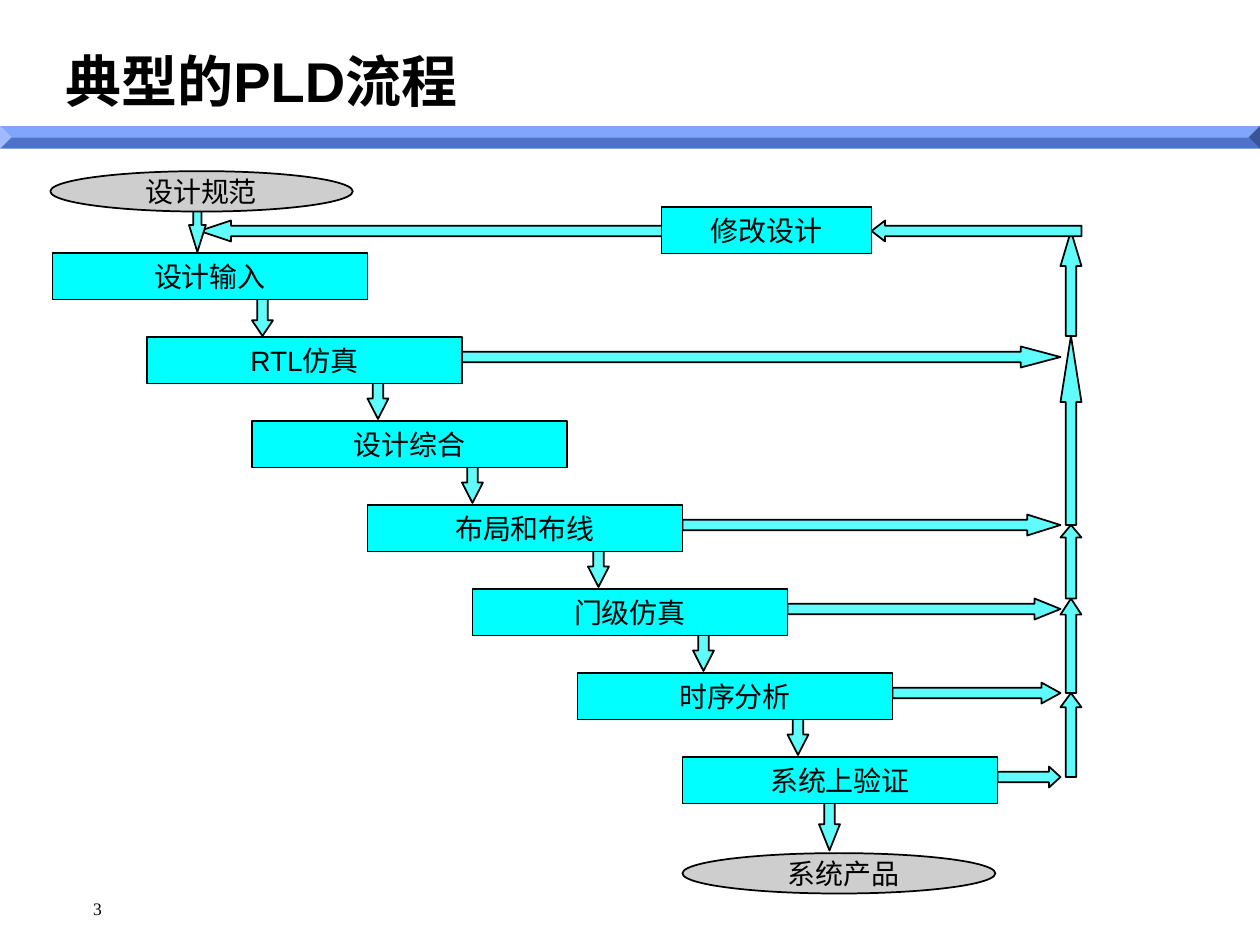
from pptx import Presentation
from pptx.dml.color import RGBColor
from pptx.enum.shapes import MSO_SHAPE
from pptx.enum.text import MSO_ANCHOR, MSO_AUTO_SIZE, PP_ALIGN
from pptx.util import Inches, Pt

BEVEL, RECT, OVAL = MSO_SHAPE.BEVEL, MSO_SHAPE.RECTANGLE, MSO_SHAPE.OVAL
LEFT, UP, DOWN = MSO_SHAPE.LEFT_ARROW, MSO_SHAPE.UP_ARROW, MSO_SHAPE.DOWN_ARROW
MIDDLE, CENTER, ALIGN_LEFT = MSO_ANCHOR.MIDDLE, PP_ALIGN.CENTER, PP_ALIGN.LEFT
GROW = MSO_AUTO_SIZE.SHAPE_TO_FIT_TEXT

prs = Presentation()
prs.slide_width, prs.slide_height = Inches(10), Inches(7.5)
U = prs.slide_width / 120  # grid of 120 columns by 90 rows
s = prs.slides.add_slide(prs.slide_layouts[5])


def add(kind, x, y, w, h, fill, line="000000", adj=()):
    """Add a filled preset shape; lengths are in grid units."""
    sp = s.shapes.add_shape(kind, *(round(v * U) for v in (x, y, w, h)))
    sp.shadow.inherit = False
    sp.fill.solid()
    sp.fill.fore_color.rgb = RGBColor.from_string(fill)
    if line:
        sp.line.color.rgb = RGBColor.from_string(line)
        sp.line.width = Pt(1)
    else:
        sp.line.fill.background()
    for i, value in enumerate(adj):
        sp.adjustments[i] = value
    return sp


def write(sp, text, align=CENTER, frame=None, **font):
    tf = sp.text_frame
    for name, value in {"word_wrap": True, "vertical_anchor": MIDDLE, **(frame or {})}.items():
        setattr(tf, name, value)
    p = tf.paragraphs[0]
    p.alignment = align
    r = p.add_run()
    r.text = text
    for name, value in {"name": "Arial", "size": Pt(16), "bold": False, **font}.items():
        setattr(r.font, name, value)
    r.font.color.rgb = RGBColor.from_string("000000")


add(BEVEL, 0, 12, 120, 2.16, "618FFD", None, [0.5])

title = s.shapes.title
title.left, title.top, title.width, title.height = (round(v * U) for v in (5, 3, 110, 9.24))
write(title, "典型的PLD流程", ALIGN_LEFT, {"auto_size": MSO_AUTO_SIZE.NONE}, size=Pt(32), bold=True)

# Steps go down the slide every 8 rows: label, left column, feedback arrow head
steps = [
    ("设计输入", 5, None),
    ("RTL仿真", 14, 1.89),
    ("设计综合", 24, None),
    ("布局和布线", 35, 1.59),
    ("门级仿真", 45, 1.24),
    ("时序分析", 55, 0.91),
    ("系统上验证", 65, 0.55),
]
STEP_TOP, PITCH, STEP_W, STEP_H, ARROW = 24.1, 8, 30, 4.44, 2
BUS = 101  # column of the feedback path
ARROW_FILL, STEP_FILL, END_FILL = "60FCFC", "00FFFF", "CECECE"

# Feedback from the checked steps to the vertical path
for i, (label, x, head) in enumerate(steps):
    if head:
        right = x + STEP_W
        sp = add(LEFT, right, 25 + PITCH * i, BUS - right, ARROW, ARROW_FILL, adj=[0.5, head])
        sp.rotation = 180

# Vertical path: top row, height, head
for y, h, head in [(66, 8, 0.68), (57, 9, 0.77), (50, 7, 0.6), (32, 18, 3.15), (22, 10, 1.67)]:
    add(UP, BUS, y, ARROW, h, ARROW_FILL, adj=[0.5, head])

# Return path through the redesign box: left column, width, head
for x, w, head in [(83, 20, 0.65), (19, 46, 1.5)]:
    add(LEFT, x, 21, w, ARROW, ARROW_FILL, adj=[0.5, head])

# Arrows from each stage to the next: column, top row, width, height, head
downs = [(18, 19, 1.6, 5, 1.6), (24, 26, ARROW, 6, 0.74), (78, 76, ARROW, 5, 1.25)]
downs += [(x, 36 + PITCH * i, ARROW, 3.9, 0.97) for i, x in enumerate((35, 44, 56, 66, 75))]
for x, y, w, h, head in downs:
    add(DOWN, x, y, w, h, ARROW_FILL, adj=[0.5, head])

boxes = [(label, x, STEP_TOP + PITCH * i, STEP_W) for i, (label, x, _) in enumerate(steps)]
for label, x, y, w in boxes + [("修改设计", 63, 19.7, 20)]:
    write(add(RECT, x, y, w, STEP_H, STEP_FILL), label, frame={"auto_size": GROW})

# Start and end: label, oval column, row and width, label column and row
for label, x, y, w, text_x, text_y in [
    ("设计规范", 4.8, 16.3, 28.8, 12.6, 16),
    ("系统产品", 65, 81.25, 29.8, 73.8, 81),
]:
    add(OVAL, x, y, w, 3.85, END_FILL)
    tb = s.shapes.add_textbox(*(round(v * U) for v in (text_x, text_y, 13.1, STEP_H)))
    write(tb, label, frame={"word_wrap": False, "auto_size": GROW})

number = s.shapes.add_textbox(*(round(v * U) for v in (4.8, 83.5, 25, 6)))
write(number, "3", ALIGN_LEFT, {"margin_left": Inches(0.34)}, name="Times New Roman", size=Pt(10))

prs.save("out.pptx")
